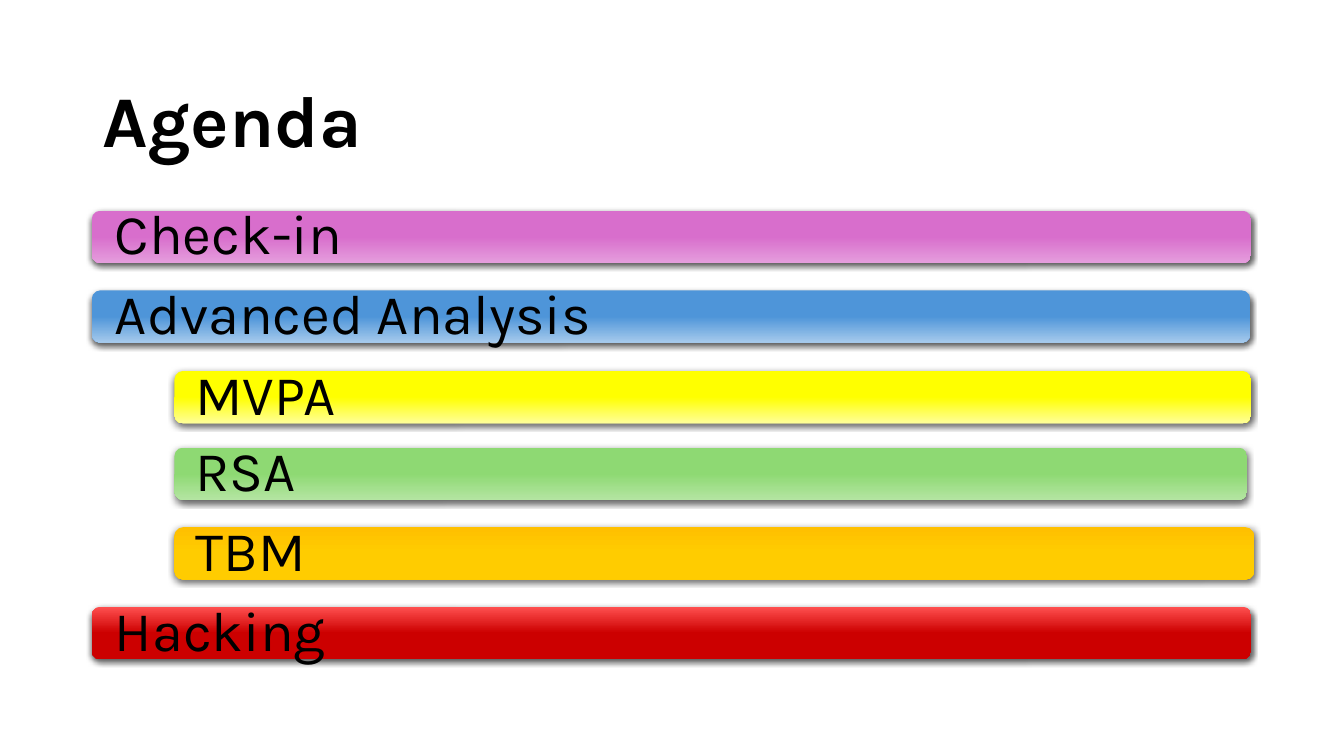
from copy import deepcopy
from dataclasses import dataclass

from lxml.etree import SubElement
from pptx import Presentation
from pptx.dml.color import RGBColor
from pptx.enum.shapes import MSO_SHAPE
from pptx.enum.text import MSO_ANCHOR
from pptx.oxml.ns import qn
from pptx.shapes.autoshape import Shape
from pptx.util import Inches, Pt

COLORS = {
    "text": "000000",
    "shadow": "000000",
    "orchid": "D86ECC",
    "light orchid": "E59EDD",
    "blue": "4E95D9",
    "light blue": "A6CAEC",
    "yellow": "FFFF00",
    "light yellow": "FFFF99",
    "green": "8ED973",
    "light green": "B4E5A2",
    "amber": "FFC000",
    "gold": "FFCC00",
    "light red": "FF5050",
    "red": "CC0000",
}
FONT = "Karla"
BAR_HEIGHT = 0.52
LABEL_HEIGHT = 0.47
LEFT_BY_LEVEL = (0.91, 1.73)
LABEL_LEFT_BY_LEVEL = (0.97, 1.77)


@dataclass
class AgendaItem:
    text: str
    level: int
    top: float
    width: float
    label_width: float
    gradient: tuple[str, str, str]


AGENDA = (
    AgendaItem("Check-in", 0, 2.09, 11.5, 10.1, ("orchid", "orchid", "light orchid")),
    AgendaItem("Advanced Analysis", 0, 2.88, 11.49, 10.09, ("blue", "blue", "light blue")),
    AgendaItem("MVPA", 1, 3.68, 10.68, 9.6, ("yellow", "yellow", "light yellow")),
    AgendaItem("RSA", 1, 4.44, 10.64, 9.34, ("green", "green", "light green")),
    AgendaItem("TBM", 1, 5.23, 10.71, 10.15, ("amber", "gold", "gold")),
    AgendaItem("Hacking", 0, 6.02, 11.5, 10.6, ("light red", "red", "red")),
)


def add_text(shapes, text: str, *, left: float, top: float, width: float,
             height: float, size: float, bold: bool = False,
             inset_x: float = 0.1, inset_y: float = 0.05) -> Shape:
    box = shapes.add_textbox(Inches(left), Inches(top), Inches(width), Inches(height))
    frame = box.text_frame
    frame.word_wrap = True
    frame.vertical_anchor = MSO_ANCHOR.MIDDLE
    frame.margin_left = frame.margin_right = Inches(inset_x)
    frame.margin_top = frame.margin_bottom = Inches(inset_y)
    paragraph = frame.paragraphs[0]
    paragraph.line_spacing = 0.9
    run = paragraph.add_run()
    run.text = text
    run.font.name = FONT
    run.font.size = Pt(size)
    run.font.bold = bold
    run.font.color.rgb = RGBColor.from_string(COLORS["text"])
    return box


def fill_gradient(shape: Shape, color_names: tuple[str, str, str]) -> None:
    """Fill from top to bottom with three evenly spaced colours."""
    shape.fill.gradient()
    shape.fill.gradient_angle = 270
    stop_list = shape.element.spPr.find(qn("a:gradFill")).find(qn("a:gsLst"))
    stop_list.append(deepcopy(stop_list[0]))
    for index, (stop, name) in enumerate(zip(shape.fill.gradient_stops, color_names)):
        stop.position = index / 2
        stop.color.rgb = RGBColor.from_string(COLORS[name])


def add_shadow(shape: Shape) -> None:
    shape.shadow.inherit = False
    effects = shape.element.spPr.find(qn("a:effectLst"))
    shadow = SubElement(effects, qn("a:outerShdw"), blurRad=str(Pt(4.5)),
                        dist=str(Pt(1.5)), dir="5400000", algn="ctr", rotWithShape="0")
    color = SubElement(shadow, qn("a:srgbClr"), val=COLORS["shadow"])
    SubElement(color, qn("a:alpha"), val="63000")


def add_agenda_item(slide, item: AgendaItem) -> None:
    group = slide.shapes.add_group_shape()
    bar = group.shapes.add_shape(
        MSO_SHAPE.ROUNDED_RECTANGLE, Inches(LEFT_BY_LEVEL[item.level]),
        Inches(item.top), Inches(item.width), Inches(BAR_HEIGHT))
    bar.line.fill.background()
    fill_gradient(bar, item.gradient)
    add_shadow(bar)
    add_text(group.shapes, item.text, left=LABEL_LEFT_BY_LEVEL[item.level],
             top=item.top + (BAR_HEIGHT - LABEL_HEIGHT) / 2, width=item.label_width,
             height=LABEL_HEIGHT, size=40, inset_x=0.17, inset_y=0.17)


def main() -> None:
    presentation = Presentation()
    presentation.slide_width = Inches(13.33)
    presentation.slide_height = Inches(7.5)
    slide = presentation.slides.add_slide(presentation.slide_layouts[6])

    # Title
    add_text(slide.shapes, "Agenda", left=0.92, top=0.61, width=11.5, height=1.24,
             size=52, bold=True)

    # Agenda bars
    for item in AGENDA:
        add_agenda_item(slide, item)

    presentation.save("out.pptx")


if __name__ == "__main__":
    main()
